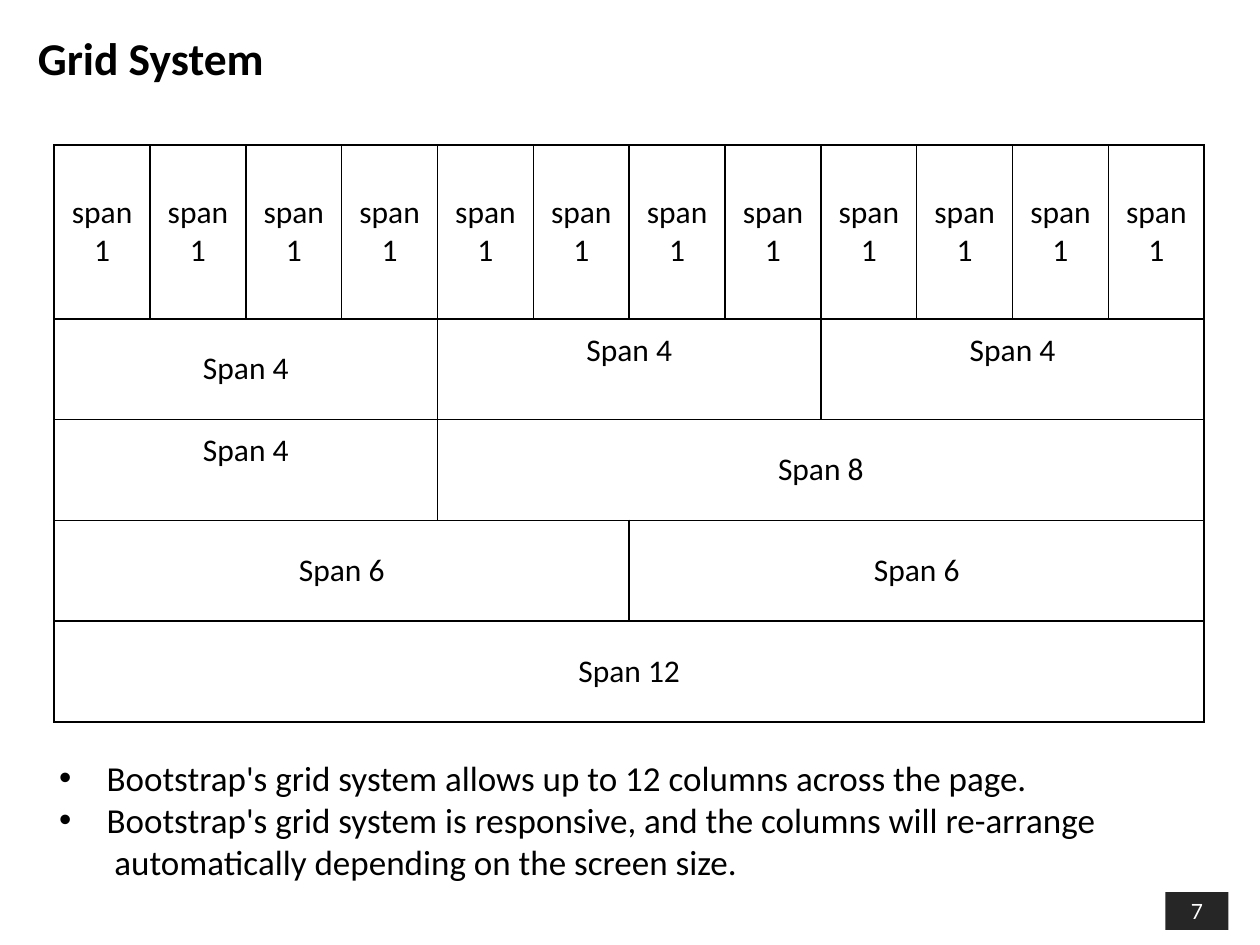
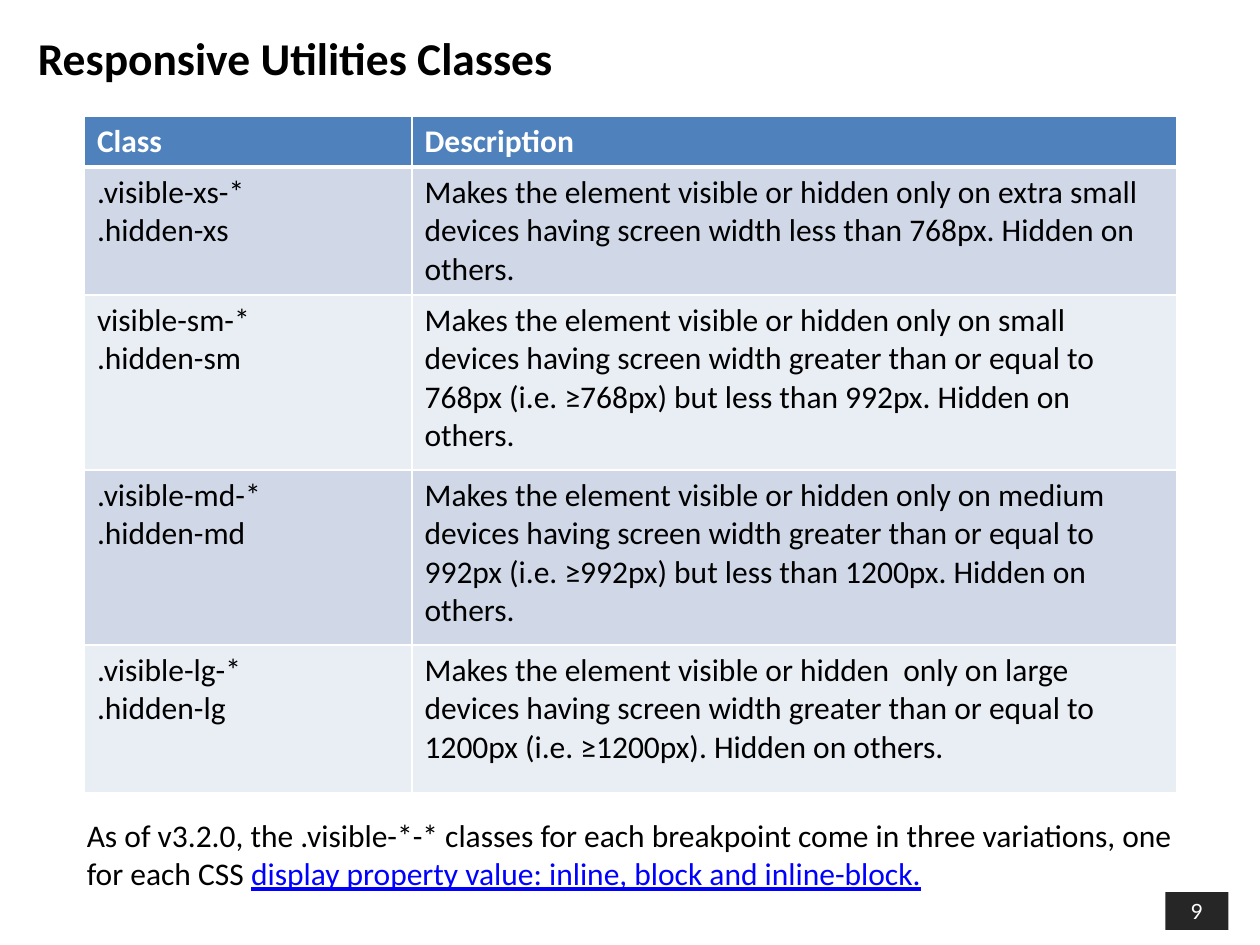
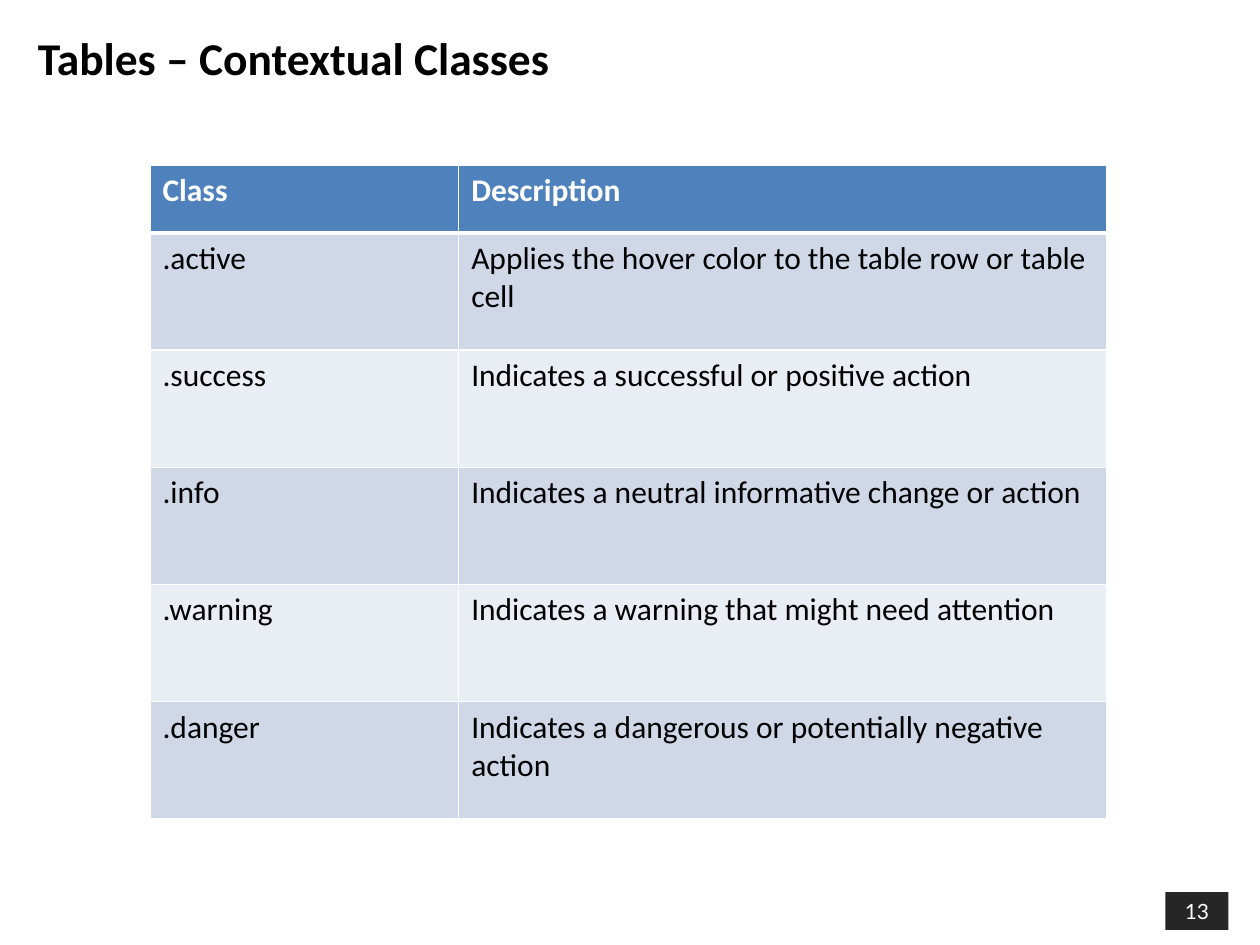
from dataclasses import dataclass

from lxml import etree
from pptx import Presentation
from pptx.dml.color import RGBColor
from pptx.enum import shapes, text
from pptx.oxml import ns
from pptx.util import Inches, Pt


@dataclass(frozen=True)
class Theme:
    """Colours, fonts and type sizes of the presentation."""
    ink: str = "000000"
    paper: str = "FFFFFF"
    badge: str = "262626"
    header: str = "4F81BD"
    bands: tuple = ("D0D8E8", "E9EDF4")
    link: str = "0000FF"
    font: str = "Calibri"
    badge_font: str = "Lato"
    title_size: int = 26
    list_size: int = 20
    table_size: int = 18
    badge_size: int = 12


THEME = Theme()
TITLE_BOX = (0.2, 0.15, 9.65, 0.61)
BADGE_BOX = (9.25, 7.08, 0.5, 0.3)
TITLE_AND_LIST, TITLE_ONLY = 1, 5

GRID_ROWS = [
    [1] * 12,
    [4, 4, 4],
    [4, 8],
    [6, 6],
    [12],
]
RAISED_LABELS = {(1, 4), (1, 8), (2, 0)}
GRID_NOTES = [
    "Bootstrap's grid system allows up to 12 columns across the page.",
    "Bootstrap's grid system is responsive, and the columns will re-arrange"
    "\v automatically depending on the screen size.",
]
UTILITY_CLASSES = [
    ("Class", "Description"),
    (".visible-xs-*\n.hidden-xs",
     "Makes the element visible or hidden only on extra small devices having "
     "screen width less than 768px. Hidden on others."),
    ("visible-sm-*\n.hidden-sm",
     "Makes the element visible or hidden only on small devices having screen "
     "width greater than or equal to 768px (i.e. ≥768px) but less than 992px. "
     "Hidden on others."),
    (".visible-md-*\n.hidden-md",
     "Makes the element visible or hidden only on medium devices having screen "
     "width greater than or equal to 992px (i.e. ≥992px) but less than 1200px. "
     "Hidden on others."),
    (".visible-lg-*\n.hidden-lg",
     "Makes the element visible or hidden  only on large devices having screen "
     "width greater than or equal to 1200px (i.e. ≥1200px). Hidden on others."),
]
CONTEXTUAL_CLASSES = [
    ("Class", "Description"),
    (".active", "Applies the hover color to the table row or table cell"),
    (".success", "Indicates a successful or positive action"),
    (".info", "Indicates a neutral informative change or action"),
    (".warning", "Indicates a warning that might need attention"),
    (".danger", "Indicates a dangerous or potentially negative action"),
]


def rgb(value):
    """Turn a hex string into a colour."""
    return RGBColor.from_string(value)


def inches(box):
    """Turn left, top, width and height into lengths."""
    return [Inches(side) for side in box]


def place(part, box):
    """Move and size a placeholder to its box."""
    part.left, part.top, part.width, part.height = inches(box)


def format_text(frame, size, color=THEME.ink, font=THEME.font, bold=False,
                align=text.PP_ALIGN.LEFT):
    """Format every run of a text frame alike."""
    for paragraph in frame.paragraphs:
        paragraph.alignment = align
        paragraph.space_before = Pt(0)
        for run in paragraph.runs:
            run.font.size, run.font.name = Pt(size), font
            run.font.bold = bold
            run.font.color.rgb = rgb(color)


def add_badge(slide, number, box):
    """Add the dark page number box."""
    badge = slide.shapes.add_shape(shapes.MSO_SHAPE.RECTANGLE, *inches(box))
    badge.shadow.inherit = False
    badge.fill.solid()
    badge.fill.fore_color.rgb = rgb(THEME.badge)
    badge.line.fill.background()
    badge.text_frame.text = str(number)
    format_text(badge.text_frame, THEME.badge_size, THEME.paper,
                THEME.badge_font, align=text.PP_ALIGN.CENTER)


def add_page(deck, layout, title, number):
    """Add a slide with the shared title style and page number."""
    slide = deck.slides.add_slide(deck.slide_layouts[layout])
    heading = slide.shapes.title
    place(heading, TITLE_BOX)
    frame = heading.text_frame
    frame.text = title
    frame.auto_size = text.MSO_AUTO_SIZE.NONE
    frame.vertical_anchor = text.MSO_ANCHOR.MIDDLE
    format_text(frame, THEME.title_size, bold=True)
    add_badge(slide, number, BADGE_BOX)
    return slide


def border_cell(cell, color, bottom=1):
    """Draw the four borders of a cell, with a chosen bottom width."""
    properties = cell._tc.get_or_add_tcPr()
    widths = {"lnL": 1, "lnR": 1, "lnT": 1, "lnB": bottom}
    for index, (side, width) in enumerate(widths.items()):
        line = etree.Element(ns.qn(f"a:{side}"), w=str(Pt(width)))
        fill = etree.SubElement(line, ns.qn("a:solidFill"))
        etree.SubElement(fill, ns.qn("a:srgbClr"), val=color)
        properties.insert(index, line)


def add_sized_table(slide, box, widths, heights):
    """Add a table with given column widths and row heights."""
    table = slide.shapes.add_table(len(heights), len(widths), *inches(box)).table
    for column, width in zip(table.columns, widths):
        column.width = Inches(width)
    for row, height in zip(table.rows, heights):
        row.height = Inches(height)
    return table


def add_span_grid(slide, box, heights):
    """Add the twelve-column grid with its merged spans."""
    columns = sum(GRID_ROWS[0])
    table = add_sized_table(slide, box, [box[2] / columns] * columns, heights)
    table.first_row = table.horz_banding = False
    for cell in table.iter_cells():
        cell.fill.background()
        border_cell(cell, THEME.ink)
    for row, spans in enumerate(GRID_ROWS):
        start = 0
        for span in spans:
            cell = table.cell(row, start)
            if span > 1:
                cell.merge(table.cell(row, start + span - 1))
            cell.text_frame.text = "span1" if span == 1 else f"Span {span}"
            cell.vertical_anchor = text.MSO_ANCHOR.MIDDLE
            if (row, start) in RAISED_LABELS:
                cell.margin_bottom = Inches(0.35)
            format_text(cell.text_frame, THEME.table_size,
                        align=text.PP_ALIGN.CENTER)
            start += span


def add_class_table(slide, entries, box, widths, heights):
    """Add a banded table of classes and their descriptions."""
    table = add_sized_table(slide, box, widths, heights)
    for row, entry in enumerate(entries):
        header = row == 0
        fill = THEME.header if header else THEME.bands[(row - 1) % 2]
        for column, wording in enumerate(entry):
            cell = table.cell(row, column)
            cell.fill.solid()
            cell.fill.fore_color.rgb = rgb(fill)
            border_cell(cell, THEME.paper, bottom=3 if header else 1)
            cell.text_frame.text = wording
            format_text(cell.text_frame, THEME.table_size,
                        THEME.paper if header else THEME.ink, bold=header)


def fill_list(slide, items, box):
    """Fill the body placeholder with a bulleted list."""
    notes = slide.placeholders[1]
    place(notes, box)
    notes.text_frame.text = "\n".join(items)
    notes.text_frame.auto_size = text.MSO_AUTO_SIZE.NONE
    format_text(notes.text_frame, THEME.list_size)


def add_version_note(slide, box):
    """Add the note that ends in underlined words."""
    frame = slide.shapes.add_textbox(*inches(box)).text_frame
    frame.word_wrap = True
    frame.text = ("As of v3.2.0, the .visible-*-* classes for each breakpoint "
                  "come in three variations, one\nfor each CSS ")
    display_values = frame.paragraphs[1].add_run()
    display_values.text = "display property value: inline, block and inline-block."
    format_text(frame, THEME.table_size)
    display_values.font.underline = True
    display_values.font.color.rgb = rgb(THEME.link)


def build_grid_slide(deck):
    """Build the slide on the grid system."""
    slide = add_page(deck, TITLE_AND_LIST, "Grid System", 7)
    add_span_grid(slide, (0.43, 1.15, 9.13, 4.57), [1.38] + [0.8] * 4)
    fill_list(slide, GRID_NOTES, (0.37, 5.95, 9.36, 1.11))


def build_utilities_slide(deck):
    """Build the slide on responsive utilities."""
    slide = add_page(deck, TITLE_ONLY, "Responsive Utilities Classes", 9)
    add_class_table(slide, UTILITY_CLASSES, (0.67, 0.92, 8.67, 5.35),
                    [2.6, 6.07], [0.38, 0.95, 1.39, 1.39, 1.17])
    add_version_note(slide, (0.59, 6.43, 8.98, 0.71))


def build_contextual_slide(deck):
    """Build the slide on contextual table classes."""
    slide = add_page(deck, TITLE_ONLY, "Tables – Contextual Classes", 13)
    add_class_table(slide, CONTEXTUAL_CLASSES, (1.19, 1.31, 7.59, 5.21),
                    [2.45, 5.14], [0.54] + [0.93] * 5)


def main():
    """Build and save the presentation."""
    deck = Presentation()
    deck.slide_width, deck.slide_height = Inches(10), Inches(7.5)
    build_grid_slide(deck)
    build_utilities_slide(deck)
    build_contextual_slide(deck)
    deck.save("out.pptx")


main()
